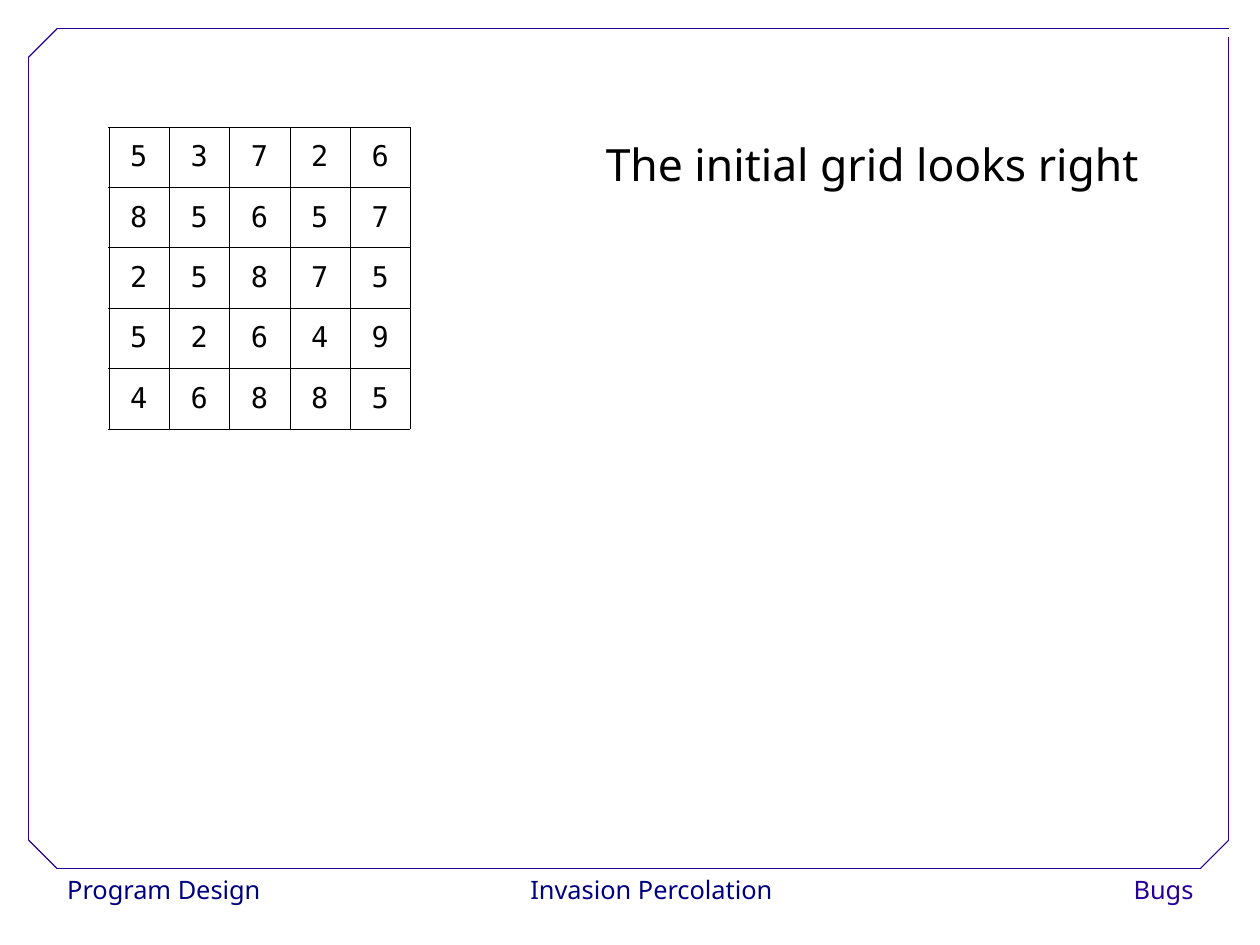
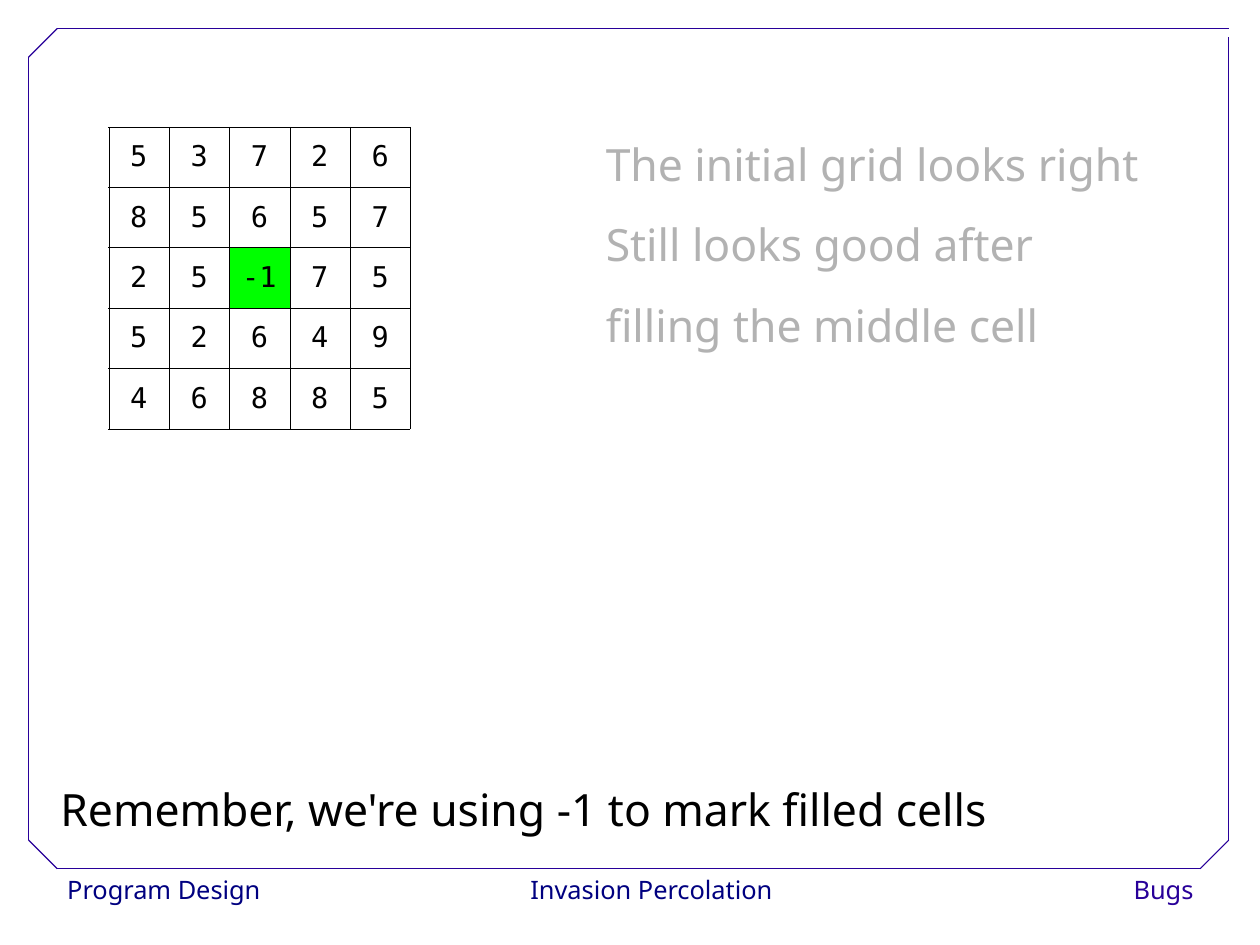
"""Build two slides that check an invasion percolation grid."""
from dataclasses import dataclass
from itertools import pairwise

from lxml.etree import SubElement
from pptx import Presentation
from pptx.dml.color import RGBColor
from pptx.enum.shapes import MSO_CONNECTOR, MSO_SHAPE
from pptx.enum.text import MSO_ANCHOR, MSO_AUTO_SIZE, PP_ALIGN
from pptx.oxml import parse_xml
from pptx.oxml.ns import nsdecls, qn
from pptx.util import Inches, Pt


@dataclass(frozen=True)
class Theme:
    paper: str = "FFFFFF"
    ink: str = "000000"
    faded: str = "B2B2B2"
    navy: str = "000080"
    violet: str = "280099"
    filled: str = "00FF00"
    sans: str = "Noto Sans"
    mono: str = "DejaVu Sans Mono"
    remark_size: float = 28
    remark_pitch: float = 50.4
    cell_size: float = 18
    footer_size: float = 16
    frame_width: float = 0.75
    grid_width: float = 0.06


THEME = Theme()


def style(paragraph, face, size, colour, align=PP_ALIGN.LEFT):
    paragraph.alignment = align
    paragraph.font.name = face
    paragraph.font.size = Pt(size)
    paragraph.font.color.rgb = RGBColor.from_string(colour)


def write_remarks(frame, remarks, colour):
    frame.word_wrap = True
    frame.auto_size = MSO_AUTO_SIZE.NONE
    frame.text = "\n".join(remarks)
    for paragraph in frame.paragraphs:
        properties = paragraph._p.get_or_add_pPr()
        properties.set("marL", "0")
        properties.set("indent", "0")
        SubElement(properties, qn("a:buNone"))
        paragraph.space_before = Pt(0)
        paragraph.line_spacing = Pt(THEME.remark_pitch)
        style(paragraph, THEME.sans, THEME.remark_size, colour)


FOOTERS = [
    ("Program Design", 0.49, 1.9, PP_ALIGN.LEFT, THEME.navy),
    ("Invasion Percolation", 4.58, 2.24, PP_ALIGN.CENTER, THEME.navy),
    ("Bugs", 9.14, 1.4, PP_ALIGN.RIGHT, THEME.violet),
]
FRAME_CORNERS = [
    (10.75, 0.25), (0.5, 0.25), (0.25, 0.5), (0.25, 7.35),
    (0.5, 7.6), (10.5, 7.6), (10.75, 7.35), (10.75, 0.32),
]
GRID = ["53726", "85657", "25875", "52649", "46885"]
GRID_SIDE = 2.64
CELL_SIDE = GRID_SIDE / len(GRID)
FIRST_REMARK = "The initial grid looks right"
STEPS = [
    ([FIRST_REMARK], THEME.ink, 0.8, {}, None),
    (
        [FIRST_REMARK, "Still looks good after filling the middle cell"],
        THEME.faded, 2.2, {(2, 2): "-1"},
        "Remember, we're using -1 to mark filled cells",
    ),
]

deck = Presentation()
deck.slide_width = Inches(28 / 2.54)
deck.slide_height = Inches(21 / 2.54)
layout = deck.slide_layouts[1]
slides = [deck.slides.add_slide(layout) for _ in STEPS]

shared = []
for label, left, width, align, colour in FOOTERS:
    footer = slides[0].shapes.add_shape(
        MSO_SHAPE.RECTANGLE, Inches(left), Inches(7.6), Inches(width), Inches(0.4)
    )
    footer.shadow.inherit = False
    footer.fill.solid()
    footer.fill.fore_color.rgb = RGBColor.from_string(THEME.paper)
    footer.line.fill.background()
    footer.text_frame.word_wrap = False
    footer.text_frame.vertical_anchor = MSO_ANCHOR.TOP
    footer.text_frame.text = label
    style(footer.text_frame.paragraphs[0], THEME.sans, THEME.footer_size, colour, align)
    shared.append(footer)

for start, end in pairwise(FRAME_CORNERS):
    edge = slides[0].shapes.add_connector(
        MSO_CONNECTOR.STRAIGHT, *(Inches(value) for value in start + end)
    )
    edge.line.color.rgb = RGBColor.from_string(THEME.violet)
    edge.line.width = Pt(THEME.frame_width)
    SubElement(edge.element.spPr, qn("a:effectLst"))
    shared.append(edge)

for number, part in enumerate(shared, start=100):
    part.element.xpath("./*/p:cNvPr")[0].set("id", str(number))
    layout.shapes.element.append(part.element)

for slide, (remarks, colour, height, filled, reminder) in zip(slides, STEPS):
    title = slide.shapes.title.element
    title.getparent().remove(title)

    body = slide.placeholders[1]
    body.left, body.top = Inches(5.2), Inches(0.92)
    body.width, body.height = Inches(4.96), Inches(height)
    write_remarks(body.text_frame, remarks, colour)

    grid = slide.shapes.add_table(
        len(GRID), len(GRID[0]), Inches(0.95), Inches(1.11),
        Inches(GRID_SIDE), Inches(GRID_SIDE),
    ).table
    grid.first_row = grid.horz_banding = False
    for column in grid.columns:
        column.width = Inches(CELL_SIDE)
    for row, values in enumerate(GRID):
        grid.rows[row].height = Inches(CELL_SIDE)
        for column, value in enumerate(values):
            cell = grid.cell(row, column)
            cell.text = filled.get((row, column), value)
            cell.vertical_anchor = MSO_ANCHOR.MIDDLE
            style(cell.text_frame.paragraphs[0], THEME.mono, THEME.cell_size,
                  THEME.ink, PP_ALIGN.CENTER)
            if (row, column) in filled:
                cell.fill.solid()
                cell.fill.fore_color.rgb = RGBColor.from_string(THEME.filled)
            else:
                cell.fill.background()
            properties = cell._tc.get_or_add_tcPr()
            for position, side in enumerate(("lnL", "lnR", "lnT", "lnB")):
                properties.insert(position, parse_xml(
                    f'<a:{side} {nsdecls("a")} w="{Pt(THEME.grid_width)}"><a:solidFill>'
                    f'<a:srgbClr val="{THEME.ink}"/></a:solidFill></a:{side}>'
                ))

    if reminder:
        note = slide.shapes.add_textbox(
            Inches(0.43), Inches(6.56), Inches(9.38), Inches(0.8)
        )
        write_remarks(note.text_frame, [reminder], THEME.ink)

deck.save("out.pptx")
